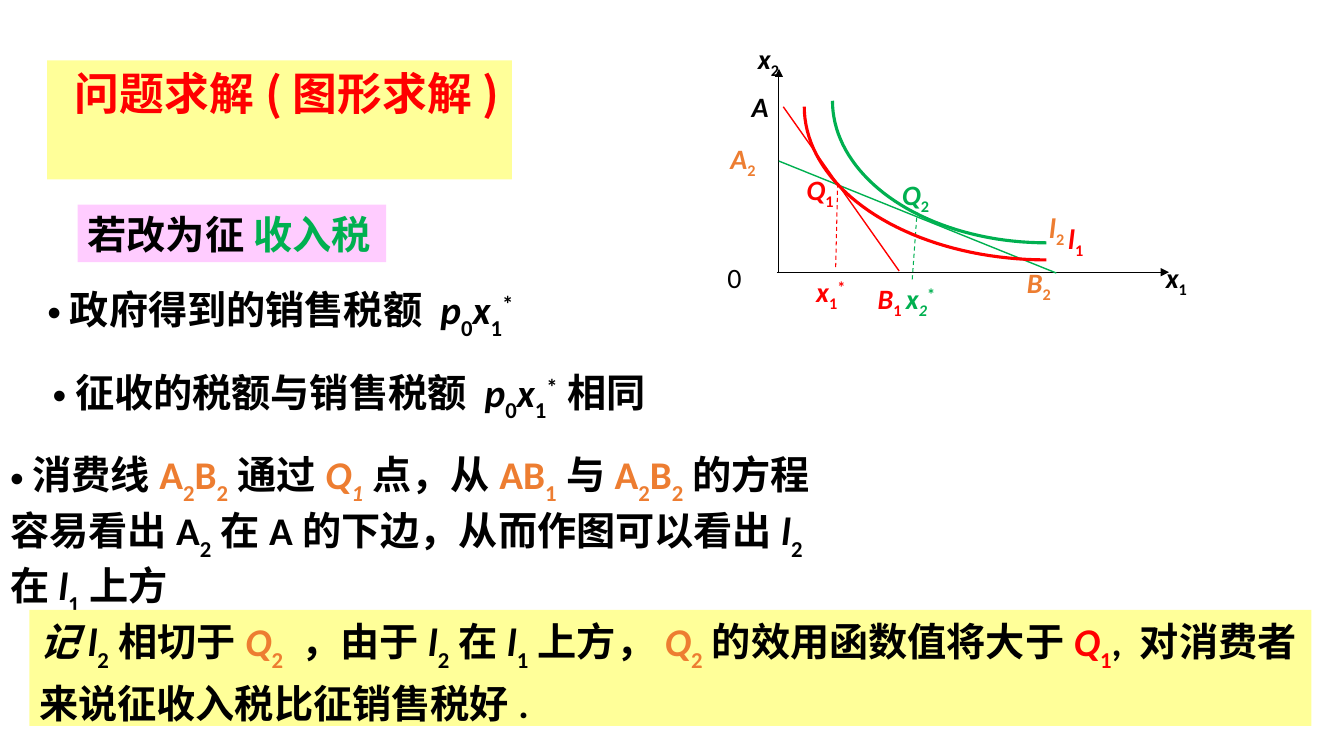
from math import cos, pi, sin

from lxml.etree import SubElement
from pptx import Presentation
from pptx.dml.color import RGBColor
from pptx.enum.dml import MSO_LINE
from pptx.enum.shapes import MSO_CONNECTOR, MSO_SHAPE
from pptx.enum.text import MSO_ANCHOR, MSO_AUTO_SIZE, PP_ALIGN
from pptx.oxml.ns import qn
from pptx.util import Cm, Pt

BLACK, RED, GREEN, ORANGE = "000000", "FF0000", "00B050", "ED7D31"
YELLOW, PINK = "FFFF99", "FFCCFF"
LATIN, CHINESE = "Calibri", "Noto Sans CJK SC"
COLOURS = {"r": RED, "g": GREEN, "o": ORANGE}

# Run styles: i italic, _ subscript, ^ superscript, r/g/o colour
HEADING = [("问题求解(图形求解)", "r")]
TAX = [("p", "i"), ("0", "_"), ("x", "i"), ("1", "_"), ("*", "^")]
POINTS = [
    (0.94, [(" 政府得到的销售税额 ", "")] + TAX),
    (1.07, [(" 征收的税额与销售税额 ", "")] + TAX + [("相同", "")]),
    (0, [(" 消费线", ""), ("A", "o"), ("2", "o_"), ("B", "o"), ("2", "o_"),
         ("通过", ""), ("Q", "oi"), ("1", "oi_"), ("点，从", ""),
         ("AB", "o"), ("1", "o_"), ("与", ""),
         ("A", "o"), ("2", "o_"), ("B", "o"), ("2", "o_"),
         ("的方程容易看出A", ""), ("2", "_"),
         ("在A的下边，从而作图可以看出", ""), ("l", "i"), ("2", "_"),
         ("在", ""), ("l", "i"), ("1", "_"), ("上方", "")]),
]
INCOME_TAX = [("若改为征 ", ""), ("收入税", "g")]
CONCLUSION = [
    ("记l", "i"), ("2", "_"), ("相切于", ""), ("Q", "oi"), ("2", "o_"),
    (" ，由于", ""), ("l", "i"), ("2", "_"), ("在", ""), ("l", "i"), ("1", "_"),
    ("上方，", ""), ("Q", "oi"), ("2", "o_"), ("的效用函数值将大于", ""),
    ("Q", "ri"), ("1", "r_"), (", 对消费者来说征收入税比征销售税好.", ""),
]
PANELS = [
    (INCOME_TAX, (1.96, 5.16, 7.77, 1.45), PINK, 1),
    (CONCLUSION, (0.74, 15.37, 32.31, 2.92), YELLOW, 1.15),
]
LABELS = [
    ([("l", "i"), ("1", "_")], RED, 26.67, 5.46, 1),
    ([("Q", "i"), ("1", "_")], RED, 20.07, 4.22, 1),
    ([("B", "i"), ("1", "_")], RED, 21.87, 7.11, 0.72),
    ([("x", "i"), ("1", "_"), ("*", "^")], RED, 20.32, 6.78, 1),
    ([("l", "i"), ("2", "_")], ORANGE, 26.19, 5.18, 1),
    ([("Q", "i"), ("2", "_")], GREEN, 22.48, 4.34, 1),
    ([("B", "i"), ("2", "_")], ORANGE, 25.63, 6.71, 0.72),
    ([("A", "i"), ("2", "_")], ORANGE, 18.16, 3.58, 0.72),
    ([("A", "i")], BLACK, 18.69, 2.34, 0.72),
    ([("0", "n")], BLACK, 18.08, 6.43, 1),
    ([("x", "i"), ("2", "_")], BLACK, 18.85, 0.91, 1),
    ([("x", "i"), ("1", "_")], BLACK, 29.13, 6.43, 1),
    ([("x", "i"), ("2", "i_"), ("*", "^")], GREEN, 22.58, 6.96, 1),
]
AXES = [(19.63, 6.86, 19.63, 1.73), (19.58, 6.86, 29.46, 6.86)]
BUDGET_LINES = [
    ((22.66, 6.83, 19.74, 2.69), RED),
    ((26.62, 6.88, 19.63, 4.06), GREEN),
]
DROP_LINES = [
    ((21.06, 6.73, 21.11, 4.62), RED),
    ((22.99, 7.04, 23.11, 5.36), GREEN),
]
INDIFFERENCE_CURVES = [
    ((20.27, 2.69, 26.37, 6.55), RED),
    ((20.98, 2.54, 26.37, 6.12), GREEN),
]
CURVE_STEPS = 40


def colour(code):
    return RGBColor.from_string(code)


def place(shape, left, top, width, height):
    shape.left, shape.top = Cm(left), Cm(top)
    shape.width, shape.height = Cm(width), Cm(height)


def write(paragraph, runs, size, base=BLACK, latin=LATIN, shift=30, spacing=1):
    paragraph.alignment = PP_ALIGN.LEFT
    paragraph.line_spacing = spacing
    font = paragraph.font
    font.size, font.bold, font.name = Pt(size), True, latin
    font.color.rgb = colour(base)
    SubElement(font._element, qn("a:ea")).set("typeface", CHINESE)
    for text, style in runs:
        run = paragraph.add_run()
        run.text = text
        if "i" in style:
            run.font.italic = True
        if "n" in style:
            run.font.bold = False
        for mark in style:
            if mark in COLOURS:
                run.font.color.rgb = colour(COLOURS[mark])
        if "_" in style:
            run.font._element.set("baseline", str(-shift * 1000))
        if "^" in style:
            run.font._element.set("baseline", "30000")


def add_line(ends, code, width, dashed=False, arrow=False):
    line = slide.shapes.add_connector(MSO_CONNECTOR.STRAIGHT, *map(Cm, ends))
    line.line.color.rgb = colour(code)
    line.line.width = Pt(width)
    if dashed:
        line.line.dash_style = MSO_LINE.DASH
    if arrow:
        SubElement(line.line._get_or_add_ln(), qn("a:tailEnd")).set("type", "triangle")
    SubElement(line._element.spPr, qn("a:effectLst"))


def add_curve(box, code):
    left, top, right, bottom = box
    angles = [step * pi / 2 / CURVE_STEPS for step in range(CURVE_STEPS + 1)]
    arc = [(Cm(right - (right - left) * cos(a)), Cm(top + (bottom - top) * sin(a)))
           for a in angles]
    builder = slide.shapes.build_freeform(*arc[0])
    builder.add_line_segments(arc[1:], close=False)
    curve = builder.convert_to_shape()
    curve.shadow.inherit = False
    curve.fill.background()
    curve.line.color.rgb = colour(code)
    curve.line.width = Pt(2.25)


deck = Presentation()
deck.slide_width, deck.slide_height = Cm(33.87), Cm(19.05)
slide = deck.slides.add_slide(deck.slide_layouts[1])

title = slide.shapes.title
place(title, 1.19, 1.52, 11.71, 3)
title.fill.solid()
title.fill.fore_color.rgb = colour(YELLOW)
heading = title.text_frame
heading.auto_size = MSO_AUTO_SIZE.NONE
heading.vertical_anchor = MSO_ANCHOR.TOP
heading.margin_left, heading.margin_right = Cm(0.7), Cm(0)
write(heading.paragraphs[0], HEADING, 32, latin=CHINESE)

body = slide.placeholders[1]
place(body, 0, 7.06, 20.73, 8.4)
points = body.text_frame
points.auto_size = MSO_AUTO_SIZE.NONE
points.vertical_anchor = MSO_ANCHOR.TOP
for number, (indent, runs) in enumerate(POINTS):
    point = points.add_paragraph() if number else points.paragraphs[0]
    point.space_before = Pt(19.5 if number else 0)
    properties = point._p.get_or_add_pPr()
    properties.set("marL", str(Cm(indent)))
    properties.set("indent", "0")
    SubElement(properties, qn("a:buChar")).set("char", "•")
    write(point, runs, 28)

for runs, box, fill, spacing in PANELS:
    panel = slide.shapes.add_shape(MSO_SHAPE.RECTANGLE, *map(Cm, box))
    panel.shadow.inherit = False
    panel.fill.solid()
    panel.fill.fore_color.rgb = colour(fill)
    panel.line.fill.background()
    panel.text_frame.word_wrap = True
    panel.text_frame.vertical_anchor = MSO_ANCHOR.MIDDLE
    write(panel.text_frame.paragraphs[0], runs, 28, spacing=spacing)

for ends in AXES:
    add_line(ends, BLACK, 0.75, arrow=True)
for ends, code in BUDGET_LINES:
    add_line(ends, code, 1)
for ends, code in DROP_LINES:
    add_line(ends, code, 0.75, dashed=True)
for box, code in INDIFFERENCE_CURVES:
    add_curve(box, code)
for runs, code, left, top, spacing in LABELS:
    label = slide.shapes.add_textbox(Cm(left), Cm(top), Cm(2), Cm(1.2)).text_frame
    label.word_wrap = True
    write(label.paragraphs[0], runs, 20, code, shift=25, spacing=spacing)

deck.save("out.pptx")
